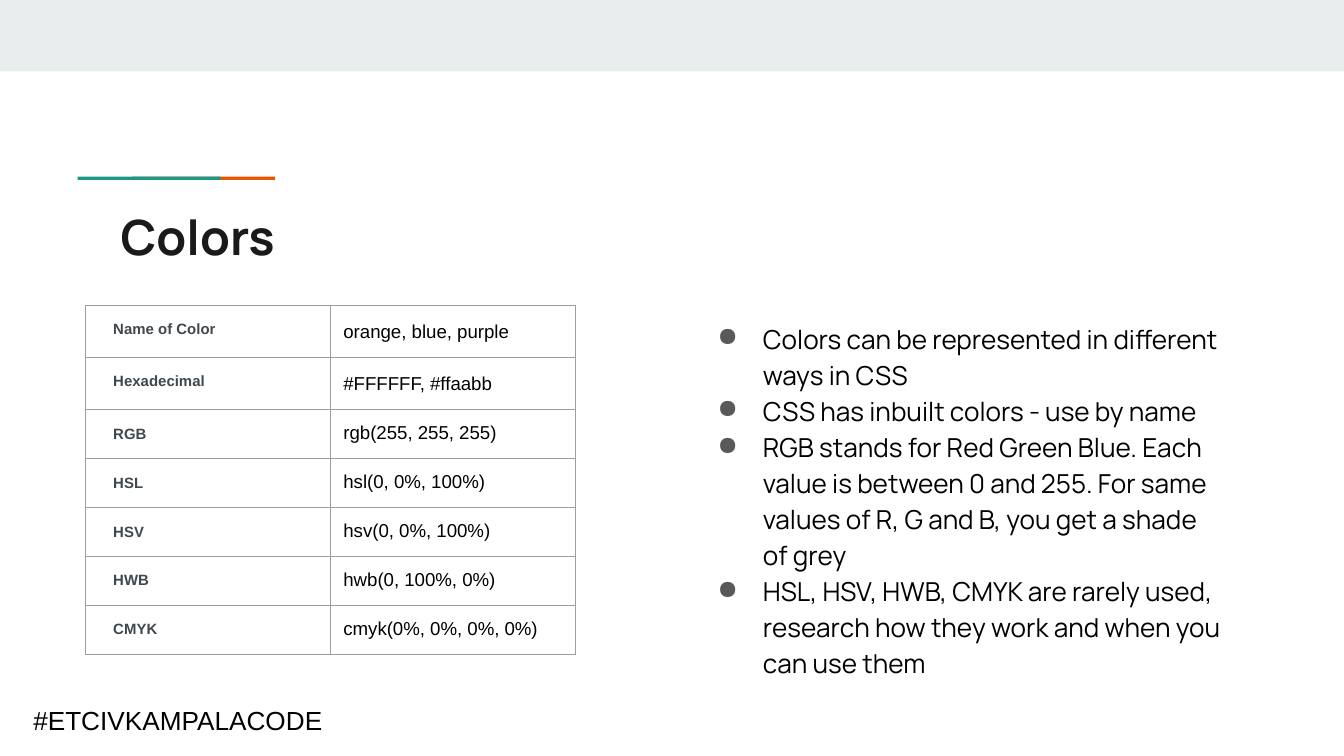
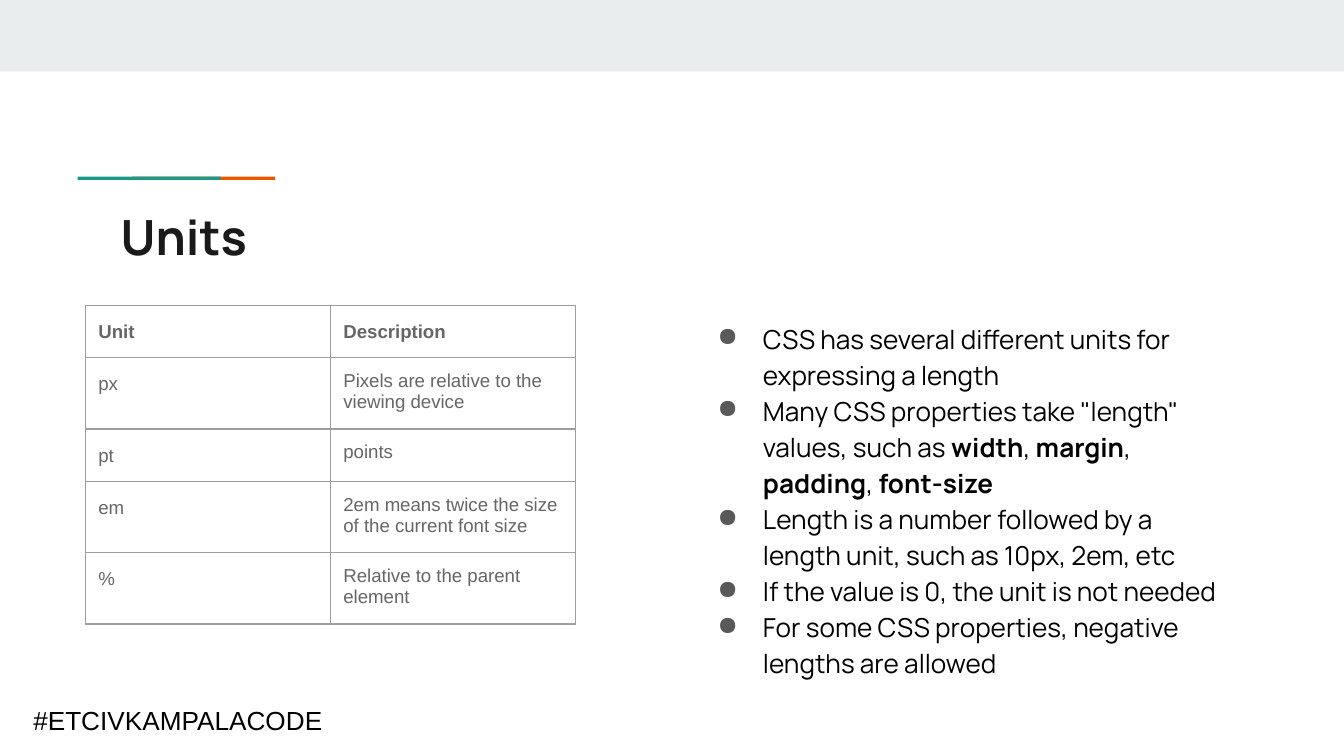
from dataclasses import dataclass

from lxml.etree import SubElement
from pptx import Presentation
from pptx.dml.color import RGBColor
from pptx.enum.shapes import MSO_SHAPE as Preset
from pptx.enum.text import MSO_ANCHOR as Anchor, PP_ALIGN as Align
from pptx.oxml.ns import qn
from pptx.util import Cm, Pt


@dataclass(frozen=True)
class Theme:
    band: str = "E9EDEE"
    orange: str = "EB5600"
    green: str = "1A9988"
    title: str = "1A1A1A"
    black: str = "000000"
    label: str = "41484D"
    grey: str = "666666"
    bullet: str = "595959"
    border: str = "9E9E9E"
    title_size: int = 26
    body_size: int = 14
    cell_size: int = 10
    label_size: int = 8
    border_width: float = 0.75
    heading_font: str = "Manrope"
    plain_font: str = "Arial"
    loose: float = 1.15


THEME = Theme()
HASHTAG = "#ETCIVKAMPALACODE"

# Text between ** marks is bold.
COLORS = {
    "title": "Colors",
    "rows": [
        ("Name of Color", "orange, blue, purple"),
        ("Hexadecimal", "#FFFFFF, #ffaabb"),
        ("RGB", "rgb(255, 255, 255)"),
        ("HSL", "hsl(0, 0%, 100%)"),
        ("HSV", "hsv(0, 0%, 100%)"),
        ("HWB", "hwb(0, 100%, 0%)"),
        ("CMYK", "cmyk(0%, 0%, 0%, 0%)"),
    ],
    "loose_rows": 2,
    "label_format": dict(size=THEME.label_size, color=THEME.label, bold=True, indent=0.28),
    "value_format": dict(size=THEME.cell_size, color=THEME.black),
    "points": [
        "Colors can be represented in different ways in CSS",
        "CSS has inbuilt colors - use by name",
        "RGB stands for Red Green Blue. Each value is between 0 and 255. "
        "For same values of R, G and B, you get a shade of grey",
        "HSL, HSV, HWB, CMYK are rarely used, research how they work "
        "and when you can use them",
    ],
}
UNITS = {
    "title": "Units",
    "rows": [
        ("**Unit**", "**Description**"),
        ("px", "Pixels are relative to the viewing device"),
        ("pt", "points"),
        ("em", "2em means twice the size of the current font size"),
        ("%", "Relative to the parent element"),
    ],
    "loose_rows": 1,
    "label_format": dict(size=THEME.cell_size, color=THEME.grey),
    "value_format": dict(size=THEME.cell_size, color=THEME.grey),
    "points": [
        "CSS has several different units for expressing a length",
        'Many CSS properties take "length" values, such as **width**, '
        "**margin**, **padding**, **font-size**",
        "Length is a number followed by a length unit, such as 10px, 2em, etc",
        "If the value is 0, the unit is not needed",
        "For some CSS properties, negative lengths are allowed",
    ],
}

SLIDE_WIDTH, SLIDE_HEIGHT = 25.4, 14.29
INSET = 0.25
COLUMN_WIDTH, ROW_HEIGHT = 4.63, 0.61
CONTENT_TOP = 5.77


def box(left, top, width, height):
    return Cm(left), Cm(top), Cm(width), Cm(height)


def write(frame, *texts, size, color, font=THEME.plain_font, bold=False,
          spacing=1.0, indent=0, hanging=0, bullet=None):
    """Write one paragraph per text; ** marks switch bold on and off."""
    for number, text in enumerate(texts):
        paragraph = frame.add_paragraph() if number else frame.paragraphs[0]
        paragraph.alignment = Align.LEFT
        paragraph.line_spacing = spacing
        paragraph.space_before = paragraph.space_after = Pt(0)
        properties = paragraph._p.get_or_add_pPr()
        properties.set("marL", str(Cm(indent)))
        properties.set("indent", str(-Cm(hanging)))
        if bullet:
            bullet_color = SubElement(properties, qn("a:buClr"))
            SubElement(bullet_color, qn("a:srgbClr"), val=THEME.bullet)
            SubElement(properties, qn("a:buChar"), char=bullet)
        for part, words in enumerate(text.split("**")):
            if not words:
                continue
            run = paragraph.add_run()
            run.text = words
            run.font.name = font
            run.font.size = Pt(size)
            run.font.bold = bold or part % 2 == 1
            run.font.color.rgb = RGBColor.from_string(color)


def set_up_frame(frame, vertical_inset=INSET):
    frame.word_wrap = True
    frame.vertical_anchor = Anchor.TOP
    frame.margin_left = frame.margin_right = Cm(INSET)
    frame.margin_top = frame.margin_bottom = Cm(vertical_inset)
    return frame


def add_bar(slide, color, *place):
    bar = slide.shapes.add_shape(Preset.RECTANGLE, *box(*place))
    bar.shadow.inherit = False
    bar.fill.solid()
    bar.fill.fore_color.rgb = RGBColor.from_string(color)
    bar.line.fill.background()


def add_text_box(slide, place, vertical_inset=INSET):
    return set_up_frame(slide.shapes.add_textbox(*box(*place)).text_frame, vertical_inset)


def add_base(deck, title):
    """Add a slide with the band, accent, hashtag and title all slides share."""
    slide = deck.slides.add_slide(deck.slide_layouts[5])
    add_bar(slide, THEME.band, 0, 0, SLIDE_WIDTH, 1.35)
    for color, left in ((THEME.orange, 2.5), (THEME.green, 1.47)):
        add_bar(slide, color, left, 3.34, 2.7, 0.06)
    write(add_text_box(slide, (0.38, 13.18, 6.65, 0.86), vertical_inset=0.13),
          HASHTAG, size=THEME.body_size, color=THEME.black)
    heading = slide.shapes.title
    heading.left, heading.top, heading.width, heading.height = box(2.03, 3.66, 21.36, 1.5)
    write(set_up_frame(heading.text_frame), title, size=THEME.title_size,
          color=THEME.title, font=THEME.heading_font, bold=True)
    return slide


def draw_borders(cell):
    properties = cell._tc.get_or_add_tcPr()
    for side in ("lnL", "lnR", "lnT", "lnB"):
        line = SubElement(properties, qn(f"a:{side}"), w=str(Pt(THEME.border_width)))
        fill = SubElement(line, qn("a:solidFill"))
        SubElement(fill, qn("a:srgbClr"), val=THEME.border)


def add_grid(slide, content):
    rows = content["rows"]
    place = box(1.61, CONTENT_TOP, 2 * COLUMN_WIDTH, len(rows) * ROW_HEIGHT)
    grid = slide.shapes.add_table(len(rows), 2, *place).table
    grid.first_row = grid.horz_banding = False
    formats = content["label_format"], content["value_format"]
    for row, texts in enumerate(rows):
        for column, text in enumerate(texts):
            cell = grid.cell(row, column)
            cell.margin_left = cell.margin_right = Cm(INSET)
            cell.margin_top = cell.margin_bottom = Cm(INSET)
            draw_borders(cell)
            cell.fill.background()
            is_loose = column == 0 or row < content["loose_rows"]
            write(cell.text_frame, text, spacing=THEME.loose if is_loose else 1.0,
                  **formats[column])


def add_points(slide, points):
    write(add_text_box(slide, (12.9, CONTENT_TOP, 10.49, 7.47)), *points,
          size=THEME.body_size, color=THEME.black, font=THEME.heading_font,
          spacing=THEME.loose, indent=1.27, hanging=0.86, bullet="●")


def main():
    deck = Presentation()
    deck.slide_width, deck.slide_height = Cm(SLIDE_WIDTH), Cm(SLIDE_HEIGHT)
    for content in (COLORS, UNITS):
        slide = add_base(deck, content["title"])
        add_grid(slide, content)
        add_points(slide, content["points"])
    deck.save("out.pptx")


if __name__ == "__main__":
    main()
